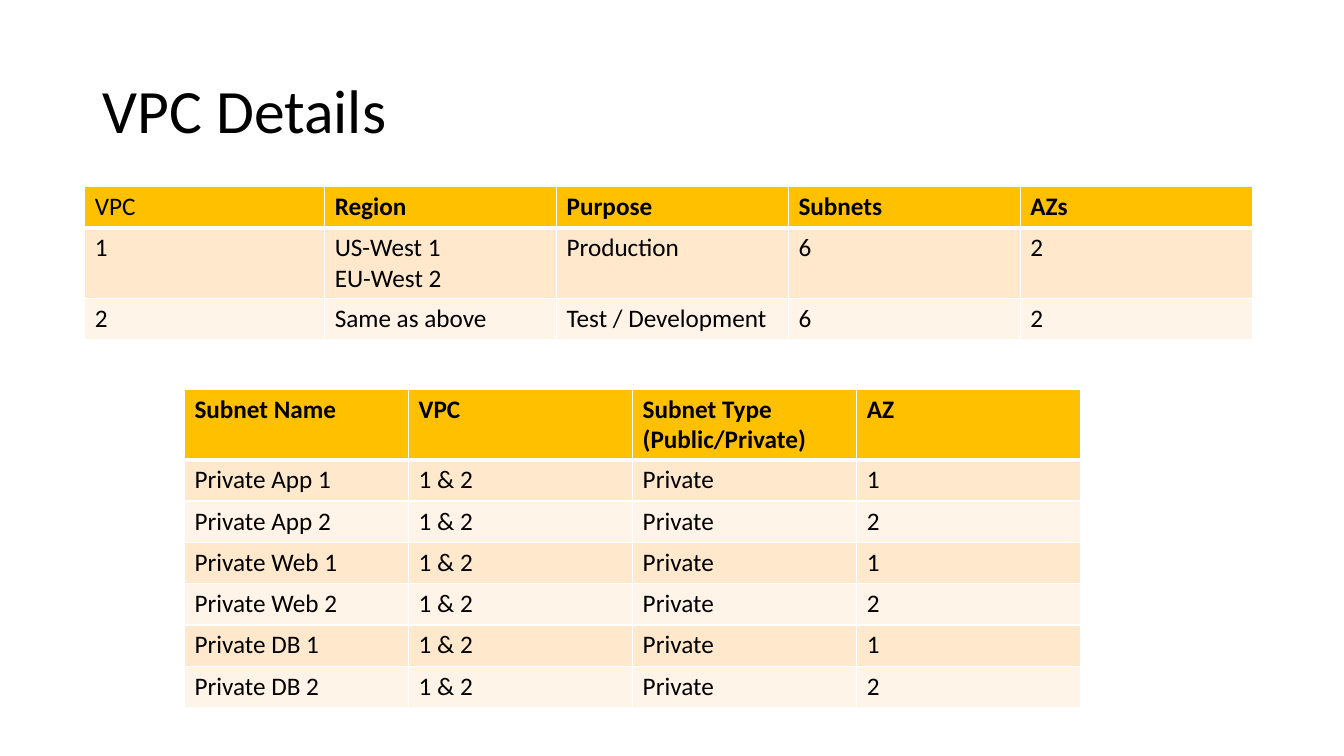
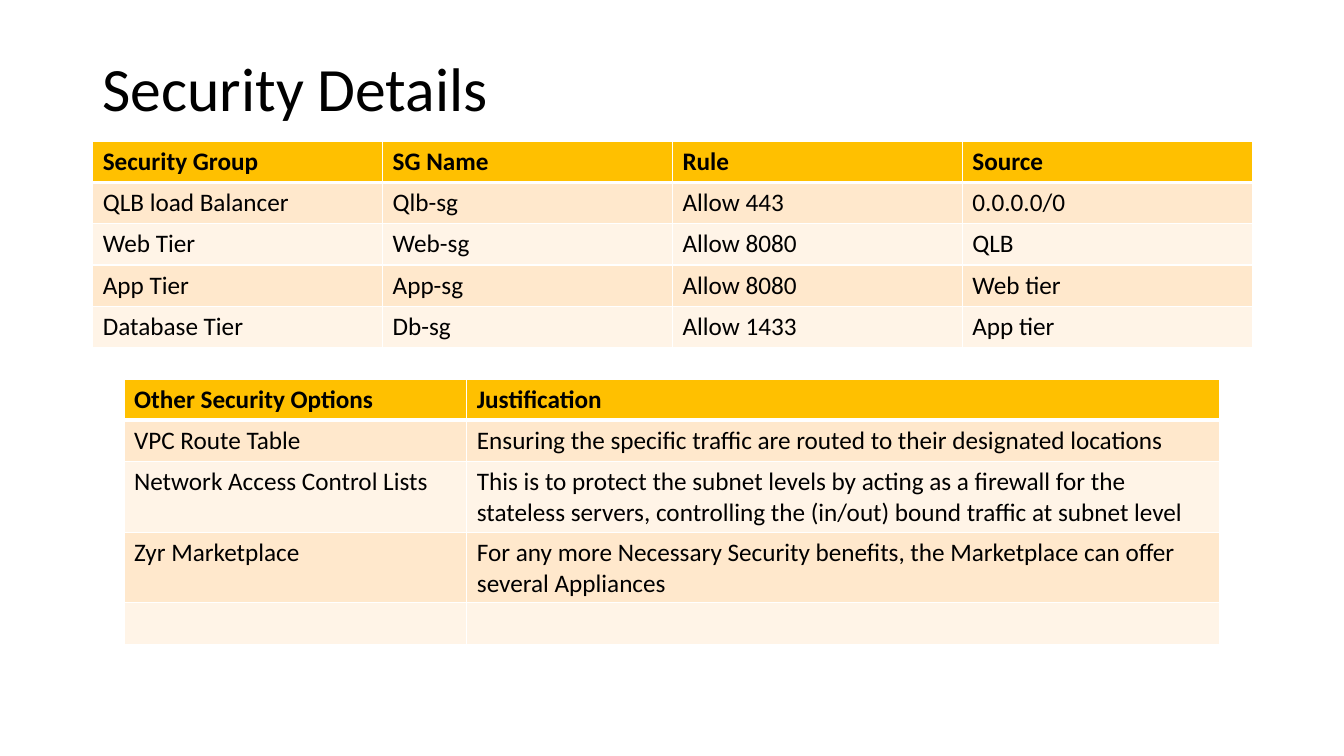
"""Build two slides of network and security tables."""
from lxml import etree
from pptx import Presentation
from pptx.dml.color import RGBColor
from pptx.enum import text
from pptx.oxml import ns
from pptx.util import Inches, Pt

HUES = {"head": "FFC000", "odd": "FFE8CC", "even": "FFF4E7",
        "line": "FFFFFF", "ink": "000000"}
FONT = "Calibri"
ROW = 0.41

SLIDES = [
    {"title": "VPC Details", "top": 0.4, "tables": [
        {"at": (0.84, 1.85), "cols": [2.38] + [2.3] * 4, "plain": ["VPC"],
         "rows": [
            ("VPC", "Region", "Purpose", "Subnets", "AZs"),
            ("1", "US-West 1\nEU-West 2", "Production", "6", "2"),
            ("2", "Same as above", "Test / Development", "6", "2")]},
        {"at": (1.83, 3.86), "cols": [8.89 / 4] * 4, "plain": [],
         "rows": [
            ("Subnet Name", "VPC", "Subnet Type (Public/Private)", "AZ"),
            *[(f"Private {tier} {zone}", "1 & 2", "Private", zone)
              for tier in ("App", "Web", "DB") for zone in "12"]]}]},
    {"title": "Security Details", "top": 0.18, "tables": [
        {"at": (0.92, 1.4), "cols": [11.5 / 4] * 4, "plain": [],
         "rows": [
            ("Security Group", "SG Name", "Rule", "Source"),
            ("QLB load Balancer", "Qlb-sg", "Allow 443", "0.0.0.0/0"),
            ("Web Tier", "Web-sg", "Allow 8080", "QLB"),
            ("App Tier", "App-sg", "Allow 8080", "Web tier"),
            ("Database Tier", "Db-sg", "Allow 1433", "App tier")]},
        {"at": (1.23, 3.76), "cols": [3.4, 7.47], "plain": [],
         "rows": [
            ("Other Security Options", "Justification"),
            ("VPC Route Table", "Ensuring the specific traffic are routed "
             "to their designated locations"),
            ("Network Access Control Lists", "This is to protect the subnet "
             "levels by acting as a firewall for the stateless servers, "
             "controlling the (in/out) bound traffic at subnet level"),
            ("Zyr Marketplace", "For any more Necessary Security benefits, "
             "the Marketplace can offer several Appliances"),
            ("", "")]}]},
]


def style(frame, size, bold=False):
    for para in frame.paragraphs:
        for name, value in {"name": FONT, "size": Pt(size),
                            "bold": bold}.items():
            setattr(para.font, name, value)
            for run in para.runs:
                setattr(run.font, name, value)
        for run in para.runs:
            run.font.color.rgb = RGBColor.from_string(HUES["ink"])


def add_title(slide, label, top):
    box = slide.shapes.add_textbox(Inches(0.92), Inches(top),
                                   Inches(11.5), Inches(1.45))
    frame = box.text_frame
    frame.word_wrap = True
    frame.vertical_anchor = text.MSO_ANCHOR.MIDDLE
    frame.text = label
    frame.paragraphs[0].line_spacing = 0.9
    style(frame, 44)


def add_edges(cell, row):
    props = cell._tc.get_or_add_tcPr()
    widths = {"L": 1, "R": 1, "T": 3 if row == 1 else 1,
              "B": 3 if row == 0 else 1}
    for side, width in widths.items():
        line = etree.SubElement(props, ns.qn(f"a:ln{side}"), w=str(Pt(width)))
        fill = etree.SubElement(line, ns.qn("a:solidFill"))
        etree.SubElement(fill, ns.qn("a:srgbClr"), val=HUES["line"])


def add_grid(slide, data):
    rows, cols = data["rows"], data["cols"]
    left, top = data["at"]
    grid = slide.shapes.add_table(
        len(rows), len(cols), Inches(left), Inches(top),
        Inches(sum(cols)), Inches(ROW * len(rows))).table
    for col, width in zip(grid.columns, cols):
        col.width = Inches(width)
    for r, row in enumerate(rows):
        grid.rows[r].height = Inches(ROW)
        hue = "head" if r == 0 else "odd" if r % 2 else "even"
        for c, label in enumerate(row):
            cell = grid.cell(r, c)
            cell.text = label
            style(cell.text_frame, 18, r == 0 and label not in data["plain"])
            add_edges(cell, r)
            cell.fill.solid()
            cell.fill.fore_color.rgb = RGBColor.from_string(HUES[hue])


def main():
    deck = Presentation()
    deck.slide_width, deck.slide_height = Inches(13.33), Inches(7.5)
    for page in SLIDES:
        slide = deck.slides.add_slide(deck.slide_layouts[6])
        add_title(slide, page["title"], page["top"])
        for data in page["tables"]:
            add_grid(slide, data)
    deck.save("out.pptx")


if __name__ == "__main__":
    main()
